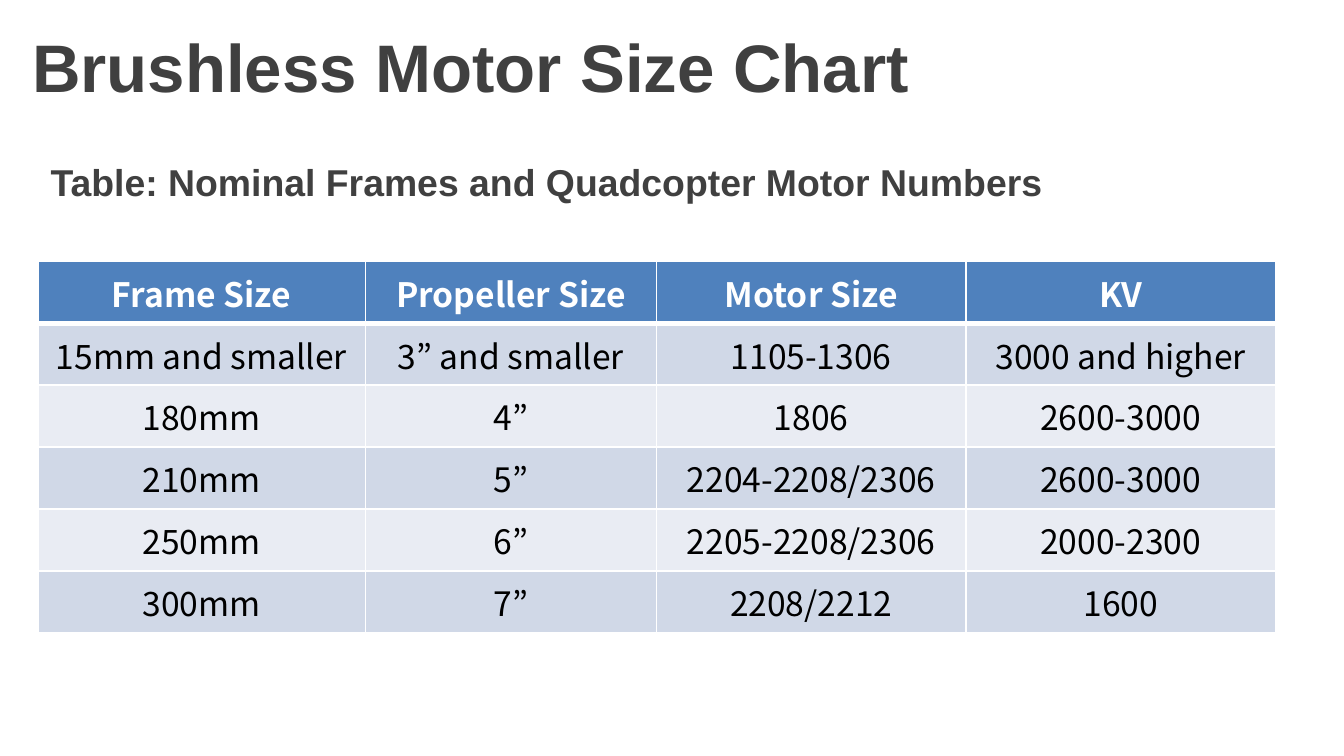
from lxml.etree import SubElement
from pptx import Presentation
from pptx.dml.color import RGBColor
from pptx.enum.text import MSO_ANCHOR as Anchor, PP_ALIGN as Align
from pptx.oxml.ns import qn
from pptx.util import Pt

COLORS = {
    "heading": "404040",
    "header": "4F81BD",
    "band_dark": "D0D8E7",
    "band_light": "E9ECF3",
    "white": "FFFFFF",
    "black": "000000",
}
HEADING_FONT = "Arial"
TABLE_FONT = "Noto Sans CJK KR"
COLUMN_WIDTHS = (175.5, 156, 165.8, 165.8)
ROW_HEIGHT = 33.2
THIN, THICK = 0.96, 3
MOTORS = (
    ("Frame Size", "Propeller Size", "Motor Size", "KV"),
    ("15mm and smaller", "3” and smaller", "1105-1306", "3000 and higher"),
    ("180mm", "4”", "1806", "2600-3000"),
    ("210mm", "5”", "2204-2208/2306", "2600-3000"),
    ("250mm", "6”", "2205-2208/2306", "2000-2300"),
    ("300mm", "7”", "2208/2212", "1600"),
)


def color(name):
    return RGBColor.from_string(COLORS[name])


def style_text(para, font_name, size, color_name, bold):
    for span in para.runs:
        span.font.name = font_name
        span.font.size = Pt(size)
        span.font.bold = bold
        span.font.color.rgb = color(color_name)


def add_heading(page, text, left, top, width, height, size):
    box = page.shapes.add_textbox(Pt(left), Pt(top), Pt(width), Pt(height))
    frame = box.text_frame
    frame.word_wrap = True
    frame.text = text
    style_text(frame.paragraphs[0], HEADING_FONT, size, "heading", True)
    return frame


def set_borders(cell, top, bottom):
    properties = cell._tc.get_or_add_tcPr()
    for side, width in (("L", THIN), ("R", THIN), ("T", top), ("B", bottom)):
        line = SubElement(properties, qn(f"a:ln{side}"), w=str(Pt(width)))
        fill = SubElement(line, qn("a:solidFill"))
        SubElement(fill, qn("a:srgbClr"), val=COLORS["white"])


def fill_cell(cell, text, row):
    is_header = row == 0
    set_borders(cell, THICK if row == 1 else THIN, THICK if is_header else THIN)
    band = "band_dark" if row % 2 else "band_light"
    cell.fill.solid()
    cell.fill.fore_color.rgb = color("header" if is_header else band)
    cell.text_frame.text = text
    para = cell.text_frame.paragraphs[0]
    para.alignment = Align.CENTER
    style_text(para, TABLE_FONT, 18, "white" if is_header else "black", is_header)


def add_motor_table(page, left, top):
    frame = page.shapes.add_table(
        len(MOTORS), len(COLUMN_WIDTHS), Pt(left), Pt(top),
        Pt(sum(COLUMN_WIDTHS)), Pt(ROW_HEIGHT * len(MOTORS)))
    table = frame.table
    for column, width in zip(table.columns, COLUMN_WIDTHS):
        column.width = Pt(width)
    for row, values in enumerate(MOTORS):
        table.rows[row].height = Pt(ROW_HEIGHT)
        for column, text in enumerate(values):
            fill_cell(table.cell(row, column), text, row)


def main():
    deck = Presentation()
    deck.slide_width, deck.slide_height = Pt(720), Pt(405)
    page = deck.slides.add_slide(deck.slide_layouts[6])

    # Caption above the table
    caption = add_heading(
        page, "Table: Nominal Frames and Quadcopter Motor Numbers",
        20, 70, 680, 335, 20)
    caption.paragraphs[0].line_spacing = 1.5

    # Title
    title = add_heading(page, "Brushless Motor Size Chart", 0, 0, 720, 70, 36)
    title.vertical_anchor = Anchor.MIDDLE
    title.margin_left = Pt(17.2)

    # Motor sizes by frame
    add_motor_table(page, 20.2, 140)

    deck.save("out.pptx")


if __name__ == "__main__":
    main()
